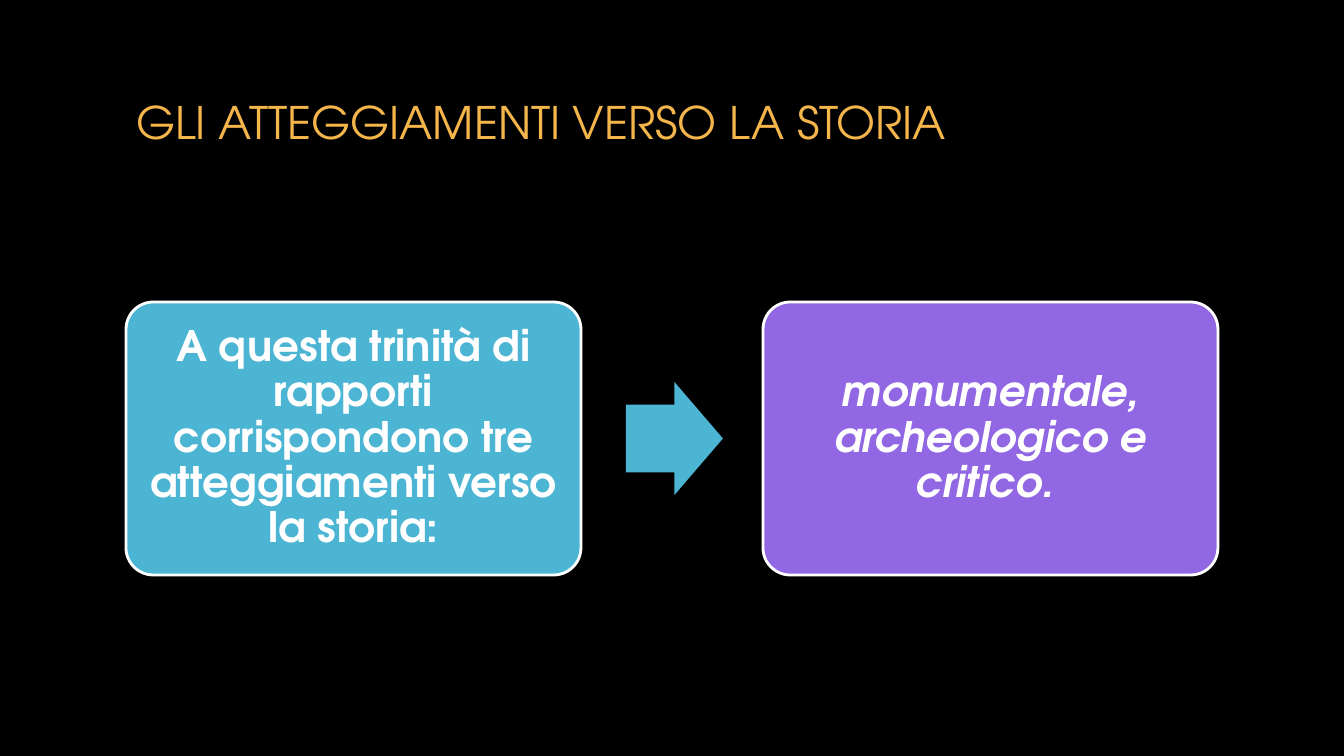
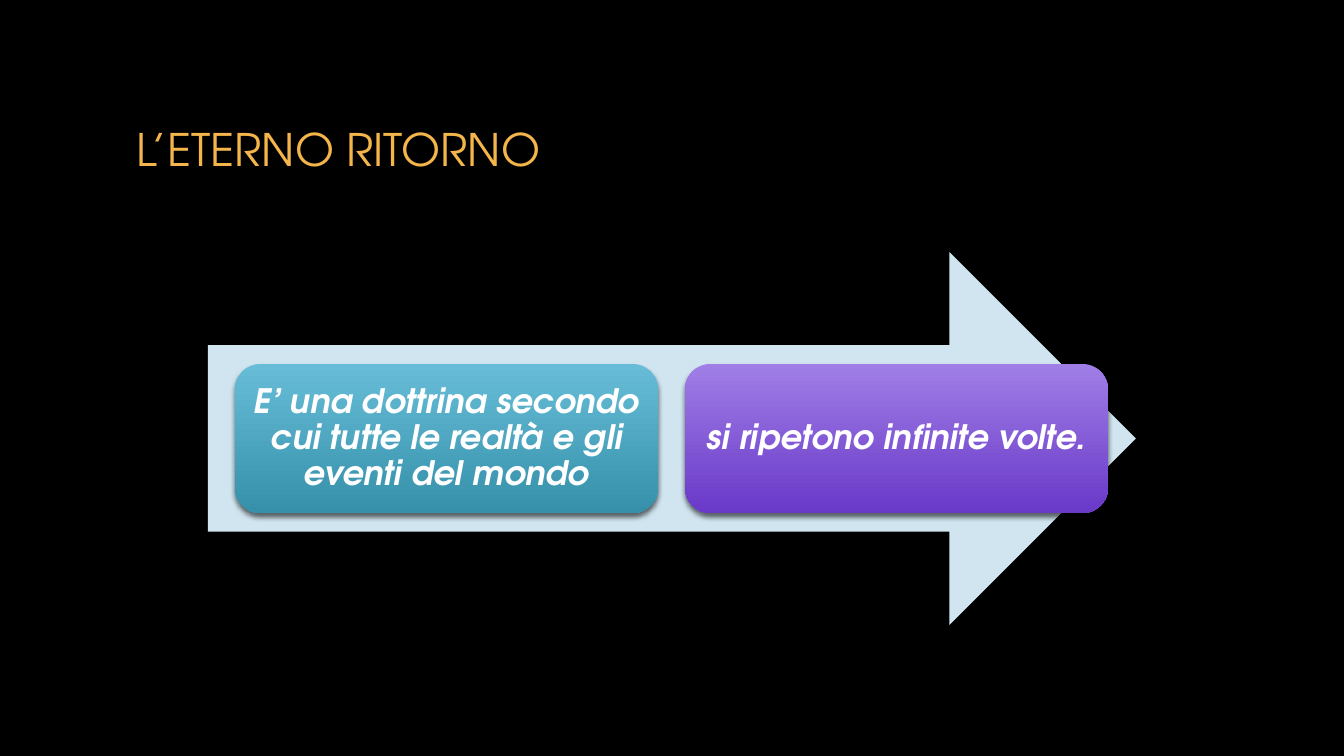
from dataclasses import dataclass

from lxml.etree import SubElement
from pptx import Presentation
from pptx.dml.color import RGBColor
from pptx.enum.shapes import MSO_SHAPE
from pptx.enum.text import MSO_ANCHOR, MSO_AUTO_SIZE, PP_ALIGN
from pptx.oxml.ns import qn
from pptx.util import Pt

PX = 914400 / 100.8
FONT = "TeX Gyre Adventor"
COLORS = {
    "black": "000000",
    "gold": "F4B54B",
    "white": "FFFFFF",
    "teal": "4CB5D3",
    "violet": "9167E3",
    "pale": "D0E5EF",
    "teal_top": "67BDD8",
    "teal_end": "3690A9",
    "violet_top": "A07EE6",
    "violet_end": "6939C8",
}


@dataclass(frozen=True)
class Box:
    x: int
    y: int
    w: int
    h: int


@dataclass(frozen=True)
class Card:
    text: str
    fill: tuple[str, ...]
    italic: bool = True


@dataclass(frozen=True)
class CardStyle:
    first: Box
    gap: int
    radius: float
    inset: int
    size: int
    outlined: bool


TITLE_BOX = Box(126, 68, 1092, 162)
OUTLINED = CardStyle(Box(126, 302, 455, 273), 182, 0.1, 12, 30, True)
SHADED = CardStyle(Box(235, 364, 423, 149), 27, 0.17, 10, 24, False)


def px(n: int) -> int:
    return round(n * PX)


def rgb(name: str) -> RGBColor:
    return RGBColor.from_string(COLORS[name])


def add_title(prs, text: str, bottom: int = 5):
    s = prs.slides.add_slide(prs.slide_layouts[5])
    sp = s.shapes.title
    sp.left, sp.top = px(TITLE_BOX.x), px(TITLE_BOX.y)
    sp.width, sp.height = px(TITLE_BOX.w), px(TITLE_BOX.h)
    tf = sp.text_frame
    tf.text = text
    tf.word_wrap = True
    tf.auto_size = MSO_AUTO_SIZE.NONE
    tf.vertical_anchor = MSO_ANCHOR.MIDDLE
    tf.margin_bottom = px(bottom)
    p = tf.paragraphs[0]
    p.alignment = PP_ALIGN.LEFT
    p.font.name, p.font.size = FONT, Pt(32)
    p.font.color.rgb = rgb("gold")
    return s


def add_shape(s, kind: MSO_SHAPE, box: Box, fill: tuple[str, ...]):
    sp = s.shapes.add_shape(kind, px(box.x), px(box.y), px(box.w), px(box.h))
    sp.shadow.inherit = False
    sp.line.fill.background()
    if len(fill) == 1:
        sp.fill.solid()
        sp.fill.fore_color.rgb = rgb(fill[0])
    else:
        sp.fill.gradient()
        sp.fill.gradient_angle = 270
        for i, (stop, name) in enumerate(zip(sp.fill.gradient_stops, fill)):
            stop.position = i
            stop.color.rgb = rgb(name)
    return sp


def add_drop_shadow(sp) -> None:
    effects = sp._element.spPr.find(qn("a:effectLst"))
    shadow = SubElement(effects, qn("a:outerShdw"), blurRad=str(Pt(4)),
                        dist=str(Pt(3)), dir="5400000", rotWithShape="0")
    color = SubElement(shadow, qn("a:srgbClr"), val=COLORS["black"])
    SubElement(color, qn("a:alpha"), val="60000")


def add_card(s, card: Card, style: CardStyle, i: int) -> None:
    b = style.first
    box = Box(b.x + i * (b.w + style.gap), b.y, b.w, b.h)
    sp = add_shape(s, MSO_SHAPE.ROUNDED_RECTANGLE, box, card.fill)
    sp.adjustments[0] = style.radius
    if style.outlined:
        sp.line.color.rgb = rgb("white")
        sp.line.width = Pt(2)
    else:
        add_drop_shadow(sp)
    tf = sp.text_frame
    tf.word_wrap = True
    tf.vertical_anchor = MSO_ANCHOR.MIDDLE
    tf.margin_left = tf.margin_right = px(style.inset)
    tf.margin_top = tf.margin_bottom = px(style.inset)
    p = tf.paragraphs[0]
    p.text = card.text
    p.alignment = PP_ALIGN.CENTER
    p.line_spacing = 0.9
    p.font.name, p.font.size = FONT, Pt(style.size)
    p.font.bold, p.font.italic = True, card.italic
    p.font.color.rgb = rgb("white")


def add_cards(s, cards: list[Card], style: CardStyle) -> None:
    for i, card in enumerate(cards):
        add_card(s, card, style, i)


def build_attitudes(prs) -> None:
    s = add_title(prs, "GLI ATTEGGIAMENTI VERSO LA STORIA", bottom=59)
    add_cards(s, [
        Card("A questa trinità di rapporti corrispondono tre "
             "atteggiamenti verso la storia:", ("teal",), italic=False),
        Card("monumentale, archeologico e critico. ", ("violet",)),
    ], OUTLINED)
    arrow = add_shape(s, MSO_SHAPE.RIGHT_ARROW, Box(626, 382, 97, 113), ("teal",))
    arrow.adjustments[0] = 0.6


def build_return(prs) -> None:
    s = add_title(prs, "L’ETERNO RITORNO")
    add_shape(s, MSO_SHAPE.RIGHT_ARROW, Box(208, 252, 928, 373), ("pale",))
    add_cards(s, [
        Card("E’ una dottrina secondo cui tutte le realtà e gli eventi del mondo",
             ("teal_top", "teal_end")),
        Card("si ripetono infinite volte.", ("violet_top", "violet_end")),
    ], SHADED)


def main() -> None:
    prs = Presentation()
    prs.slide_width, prs.slide_height = px(1344), px(756)
    bg = prs.slide_master.background.fill
    bg.solid()
    bg.fore_color.rgb = rgb("black")
    build_attitudes(prs)
    build_return(prs)
    prs.save("out.pptx")


if __name__ == "__main__":
    main()
